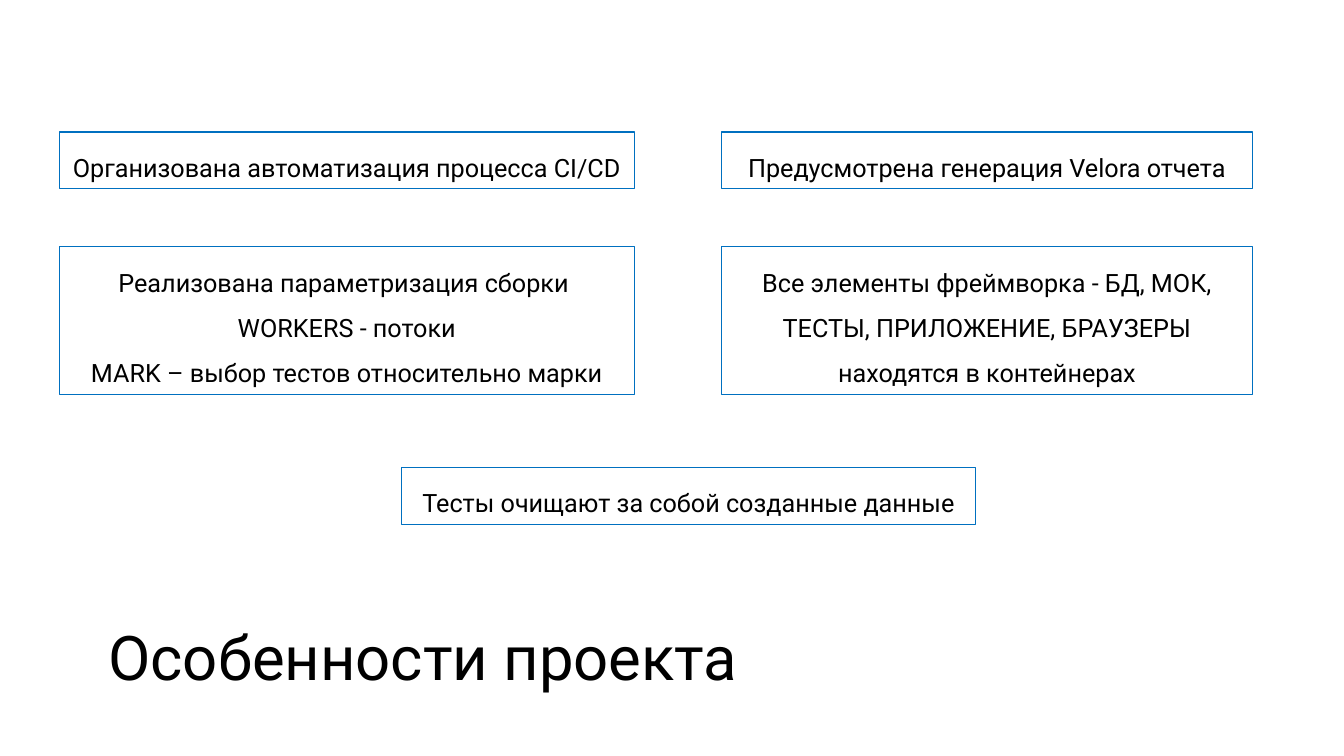
from pptx import Presentation
from pptx.dml.color import RGBColor
from pptx.enum.text import MSO_ANCHOR, MSO_AUTO_SIZE, PP_ALIGN
from pptx.util import Inches, Pt

# Content
TITLE = "Особенности проекта"
FEATURES = [  # column, row, text
    ("left", "top", "Организована автоматизация процесса CI/CD"),
    ("right", "top", "Предусмотрена генерация Velora отчета"),
    ("left", "middle", "Реализована параметризация сборки \nWORKERS - потоки\n"
                       "MARK – выбор тестов относительно марки"),
    ("right", "middle", "Все элементы фреймворка - БД, МОК, ТЕСТЫ, ПРИЛОЖЕНИЕ, "
                        "БРАУЗЕРЫ находятся в контейнерах"),
    ("center", "bottom", "Тесты очищают за собой созданные данные"),
]

# Layout in inches and style
COLUMNS = {"left": (0.59, 5.7), "right": (7.16, 5.26), "center": (3.98, 5.7)}
ROWS = {"top": (1.31, 0.56), "middle": (2.45, 1.46), "bottom": (4.64, 0.56)}
COLORS = {"text": "000000", "border": "0070C0"}
FONT = "Roboto"


def write(paragraph, text, size, spacing):
    paragraph.text = text
    paragraph.alignment = PP_ALIGN.CENTER
    paragraph.line_spacing = spacing
    paragraph.font.name = FONT
    paragraph.font.size = Pt(size)
    paragraph.font.color.rgb = RGBColor.from_string(COLORS["text"])


def add_feature(slide, column, row, text):
    left, width = COLUMNS[column]
    top, height = ROWS[row]
    feature = slide.shapes.add_textbox(
        Inches(left), Inches(top), Inches(width), Inches(height))
    feature.line.color.rgb = RGBColor.from_string(COLORS["border"])
    feature.line.width = Pt(0.75)
    frame = feature.text_frame
    frame.word_wrap = True
    frame.auto_size = MSO_AUTO_SIZE.SHAPE_TO_FIT_TEXT
    write(frame.paragraphs[0], text, 18, 1.5)


def main():
    deck = Presentation()
    deck.slide_width, deck.slide_height = Inches(13.33), Inches(7.5)
    slide = deck.slides.add_slide(deck.slide_layouts[5])

    # Title
    title = slide.shapes.title
    title.left, title.top = Inches(-1.55), Inches(6.1)
    title.width, title.height = Inches(11.5), Inches(0.9)
    title.text_frame.vertical_anchor = MSO_ANCHOR.MIDDLE
    write(title.text_frame.paragraphs[0], TITLE, 44, 0.9)

    # Feature boxes
    for column, row, text in FEATURES:
        add_feature(slide, column, row, text)

    deck.save("out.pptx")


if __name__ == "__main__":
    main()
